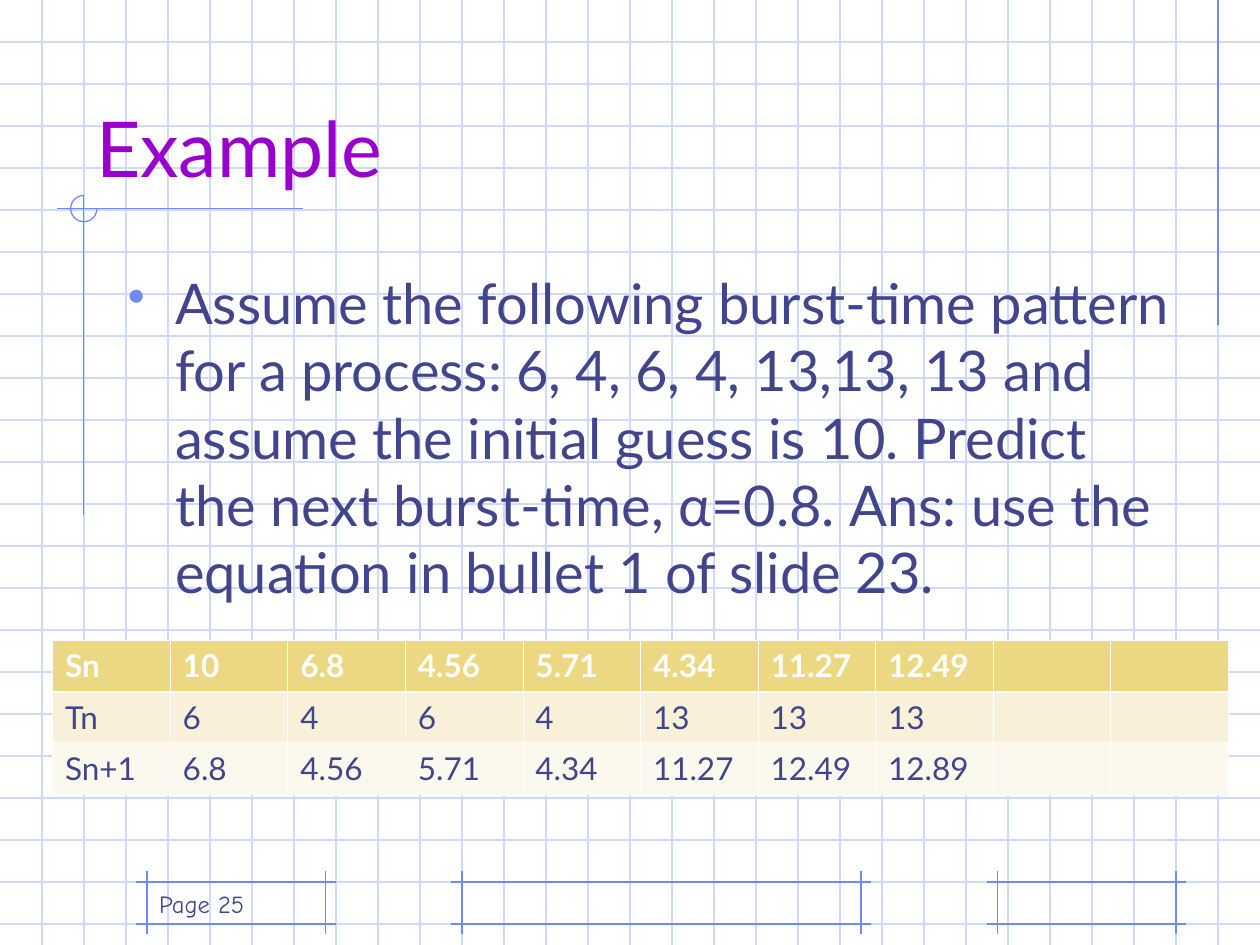
from lxml import etree
from pptx import Presentation
from pptx import util as u
from pptx.dml.color import RGBColor
from pptx.enum import shapes, text
from pptx.oxml import ns

WIDTH, HEIGHT = 25.4, 19.05
GRID = 25.4 / 30
PALE, BLUE, INK, PURPLE, WHITE = "CFDBFD", "6F89F7", "40458C", "9900CC", "FFFFFF"
FONT = "Lato"
BODY = (
    "Assume the following burst-time pattern for a process: 6, 4, 6, 4, 13,13, 13 "
    "and assume the initial guess is 10. Predict the next burst-time, α=0.8. "
    "Ans: use the equation in bullet 1 of slide 23."
)
GUESSES = ["10", "6.8", "4.56", "5.71", "4.34", "11.27", "12.49", "12.89"]
BURSTS = ["6", "4", "6", "4", "13", "13", "13"]
ROWS = [
    (["Sn"] + GUESSES[:-1], 1.04, "ECD882", {"color": WHITE, "bold": True}),
    (["Tn"] + BURSTS, 1.02, "F8F0D8", {"color": INK, "bold": False}),
    (["Sn+1"] + GUESSES[1:], 1.04, "FBF8ED", {"color": INK, "bold": False}),
]
COLUMNS = 10


def rgb(value):
    return RGBColor.from_string(value)


def sub(parent, tag, **attributes):
    return etree.SubElement(parent, ns.qn(tag), attributes)


def add_line(page, x1, y1, x2, y2, color=BLUE):
    line = page.shapes.add_connector(
        shapes.MSO_CONNECTOR.STRAIGHT, u.Cm(x1), u.Cm(y1), u.Cm(x2), u.Cm(y2)
    )
    line.line.color.rgb = rgb(color)
    line.line.width = u.Pt(0.75)
    sub(line._element.spPr, "a:effectLst")


def add_span(para, words, color, **formats):
    span = para.add_run()
    span.text = words
    for name, value in formats.items():
        setattr(span.font, name, value)
    span.font.color.rgb = rgb(color)


def add_text(page, box, words, anchor, **formats):
    frame = page.shapes.add_textbox(*map(u.Cm, box)).text_frame
    frame.word_wrap = True
    frame.vertical_anchor = anchor
    para = frame.paragraphs[0]
    add_span(para, words, **formats)
    return para


def draw_grid(page, left, top, width, height):
    for row in range(1, int(height / GRID) + 1):
        y = top + row * GRID
        add_line(page, left, y, left + width, y, PALE)
    for column in range(1, round(width / GRID)):
        x = left + column * GRID
        add_line(page, x, top, x, top + height, PALE)


def draw_footer_frame(page, left, top, width, height):
    overhang = GRID / 4
    for y in (top, top + height):
        add_line(page, left - overhang, y, left + width + overhang, y)
    for x in (left, left + width):
        add_line(page, x, top - overhang, x, top + height + overhang)


def draw_corner(page, left, top, width, height):
    size = 0.53
    center = left + 0.55
    add_line(page, left + width, top + size / 2, left, top + size / 2)
    add_line(page, center, top, center, top + height)
    arc = page.shapes.add_shape(
        shapes.MSO_SHAPE.ARC, u.Cm(center - size / 2), u.Cm(top), u.Cm(size), u.Cm(size)
    )
    arc.adjustments[0] = 0
    arc.adjustments[1] = 162
    arc.shadow.inherit = False
    arc.fill.background()
    arc.line.color.rgb = rgb(BLUE)
    arc.line.width = u.Pt(0.75)


def add_body(page, box):
    para = add_text(page, box, BODY, text.MSO_ANCHOR.TOP, color=INK, size=u.Pt(32), name=FONT)
    para.space_before = u.Pt(8)
    settings = para._p.get_or_add_pPr()
    settings.set("marL", str(u.Cm(0.95)))
    settings.set("indent", str(u.Cm(-0.95)))
    sub(sub(settings, "a:buClr"), "a:srgbClr", val=BLUE)
    sub(settings, "a:buSzPct", val="90000")
    sub(settings, "a:buChar", char="•")


def add_borders(cell, widths):
    settings = cell._tc.get_or_add_tcPr()
    for side, width in widths.items():
        border = sub(settings, f"a:ln{side}", w=str(u.Pt(width)))
        sub(sub(border, "a:solidFill"), "a:srgbClr", val=WHITE)


def add_burst_table(page, left, top, width):
    height = sum(row[1] for row in ROWS)
    table = page.shapes.add_table(
        len(ROWS), COLUMNS, u.Cm(left), u.Cm(top), u.Cm(width), u.Cm(height)
    ).table
    for column in table.columns:
        column.width = u.Cm(width / COLUMNS)
    for index, (values, row_height, fill, formats) in enumerate(ROWS):
        table.rows[index].height = u.Cm(row_height)
        thin, thick = 0.45, 1.47
        borders = {
            "L": thin,
            "R": thin,
            "T": thick if index == 1 else thin,
            "B": thick if index == 0 else thin,
        }
        for column in range(COLUMNS):
            cell = table.cell(index, column)
            add_borders(cell, borders)
            cell.fill.solid()
            cell.fill.fore_color.rgb = rgb(fill)
            if column < len(values):
                para = cell.text_frame.paragraphs[0]
                add_span(para, values[column], size=u.Pt(18), name=FONT, **formats)


def main():
    deck = Presentation()
    deck.slide_width, deck.slide_height = u.Cm(WIDTH), u.Cm(HEIGHT)
    page = deck.slides.add_slide(deck.slide_layouts[6])
    draw_grid(page, 0, 0, WIDTH, HEIGHT)
    for start, columns in ((11, 9.5), (23.75, 4.25), (3.5, 4.25)):
        draw_footer_frame(page, start * GRID, 21 * GRID, columns * GRID, GRID)
    add_line(page, 29 * GRID, 0, 29 * GRID, 6.55)
    draw_corner(page, 1.14, 3.94, 4.96, 6.45)
    bottom = text.MSO_ANCHOR.BOTTOM
    add_text(page, (1.69, 0.85, 21.59, 3.17), "Example", bottom,
             color=PURPLE, size=u.Pt(44), name=FONT)
    add_body(page, (2.33, 5.29, 21.59, 11.43))
    add_text(page, (2.96, 17.36, 5.29, 1.27), "Page 25", bottom,
             color=INK, size=u.Pt(14), name="Comic Neue")
    add_burst_table(page, 1.06, 12.91, 23.7)
    deck.save("out.pptx")


if __name__ == "__main__":
    main()
